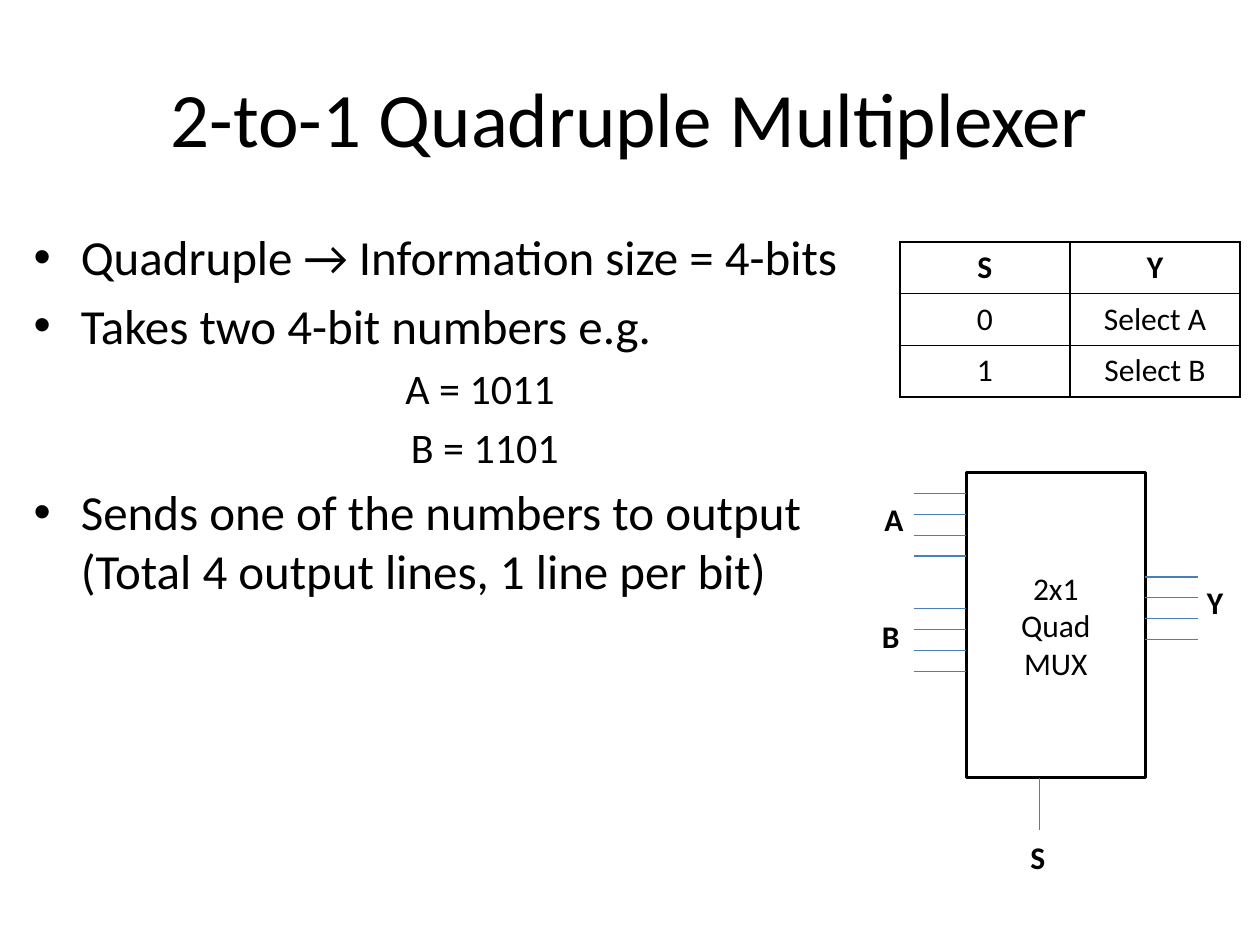
from lxml import etree
from pptx import Presentation
from pptx import util as u
from pptx.dml.color import RGBColor
from pptx.enum import shapes, text
from pptx.oxml import ns

Cm = u.Cm
MID = text.MSO_ANCHOR.MIDDLE
LEFT, MIDDLE = text.PP_ALIGN.LEFT, text.PP_ALIGN.CENTER

THEME = {
    "font": "Calibri",
    "ink": RGBColor(0, 0, 0),
    "wire": RGBColor(0x4B, 0x7E, 0xBC),
    "title": 44, "body": 28, "sub": 24, "label": 18,
}
TITLE = "2-to-1 Quadruple Multiplexer"
BODY = [
    (0, "Quadruple → Information size = 4-bits"),
    (0, "Takes two 4-bit numbers e.g."),
    (1, "A = 1011 "),
    (1, "B = 1101"),
    (0, "Sends one of the numbers to output (Total 4 output lines, 1 line per bit)"),
]
TRUTH = [("S", "Y"), ("0", "Select A"), ("1", "Select B")]
MUX = ["2x1", "Quad", "MUX"]
BOX = (19.48, 9.53, 3.61, 6.15)
WIRE, GAP, BITS = 1.06, 0.42, 4
BUSES = [
    (BOX[0] - WIRE, 9.95),
    (BOX[0] - WIRE, 12.27),
    (BOX[0] + BOX[2], 11.63),
]
PINS = [("A", 17.58, 9.95), ("B", 17.53, 12.32),
        ("Y", 24.08, 11.63), ("S", 20.52, 16.76)]


def tag(parent, name, **attrs):
    return etree.SubElement(parent, ns.qn("a:" + name), attrs)


def write(frame, lines, size="label", bold=False, align=LEFT, anchor=None, wrap=True):
    frame.word_wrap = wrap
    if anchor is not None:
        frame.vertical_anchor = anchor
    for n, line in enumerate(lines):
        para = frame.paragraphs[0] if n == 0 else frame.add_paragraph()
        run = para.add_run()
        run.text = line
        para.alignment = align
        font = run.font
        font.name, font.size, font.bold = THEME["font"], u.Pt(THEME[size]), bold
        font.color.rgb = THEME["ink"]


def add_text(slide, area, lines, **style):
    box = slide.shapes.add_textbox(*map(Cm, area))
    write(box.text_frame, lines, **style)
    return box.text_frame


def add_body(slide):
    frame = add_text(slide, (0.43, 4.45, 17.58, 12.9), [t for _, t in BODY], size="body")
    for n, (para, (level, _)) in enumerate(zip(frame.paragraphs, BODY)):
        para.level = level
        props = para._p.get_or_add_pPr()
        props.set("marL", str(Cm((0.95, 2.06)[level])))
        props.set("indent", str(Cm(-0.95)))
        if level:
            para.alignment = MIDDLE
            para.runs[0].font.size = u.Pt(THEME["sub"])
        else:
            tag(props, "buFont", typeface="Arial")
            tag(props, "buChar", char="•")
        if n:
            para.space_before = u.Pt(0.2 * THEME["sub" if level else "body"])


def add_truth(slide):
    rows, cols = len(TRUTH), len(TRUTH[0])
    area = (18.14, 4.88, 3.43 * cols, 1.04 * rows)
    table = slide.shapes.add_table(rows, cols, *map(Cm, area)).table
    table.first_row = table.horz_banding = False
    for r, row in enumerate(TRUTH):
        for c, value in enumerate(row):
            cell = table.cell(r, c)
            write(cell.text_frame, [value], bold=r == 0, align=MIDDLE)
            cell.vertical_anchor = MID
            props = cell._tc.get_or_add_tcPr()
            for side in ("lnL", "lnR", "lnT", "lnB"):
                edge = tag(props, side, w=str(u.Pt(1)))
                tag(tag(edge, "solidFill"), "srgbClr", val=str(THEME["ink"]))
            cell.fill.background()


def add_wire(slide, x, y, dx, dy):
    wire = slide.shapes.add_connector(
        shapes.MSO_CONNECTOR.STRAIGHT, *map(Cm, (x, y, x + dx, y + dy)))
    wire.line.color.rgb = THEME["wire"]
    wire.line.width = u.Pt(0.75)
    tag(wire._element.spPr, "effectLst")


def add_mux(slide):
    box = slide.shapes.add_shape(shapes.MSO_SHAPE.RECTANGLE, *map(Cm, BOX))
    box.shadow.inherit = False
    box.fill.background()
    box.line.color.rgb = THEME["ink"]
    box.line.width = u.Pt(2)
    write(box.text_frame, MUX, align=MIDDLE, anchor=MID)
    for x, top in BUSES:
        for bit in range(BITS):
            add_wire(slide, x, top + bit * GAP, WIRE, 0)
    add_wire(slide, 20.96, BOX[1] + BOX[3], 0, WIRE)
    for name, x, y in PINS:
        add_text(slide, (x, y, 0.86, 1.02), [name], bold=True, wrap=False)


def main():
    deck = Presentation()
    deck.slide_width, deck.slide_height = Cm(25.4), Cm(19.05)
    slide = deck.slides.add_slide(deck.slide_layouts[6])
    add_text(slide, (1.27, 0.76, 22.86, 3.18), [TITLE],
             size="title", align=MIDDLE, anchor=MID)
    add_body(slide)
    add_truth(slide)
    add_mux(slide)
    deck.save("out.pptx")


if __name__ == "__main__":
    main()
